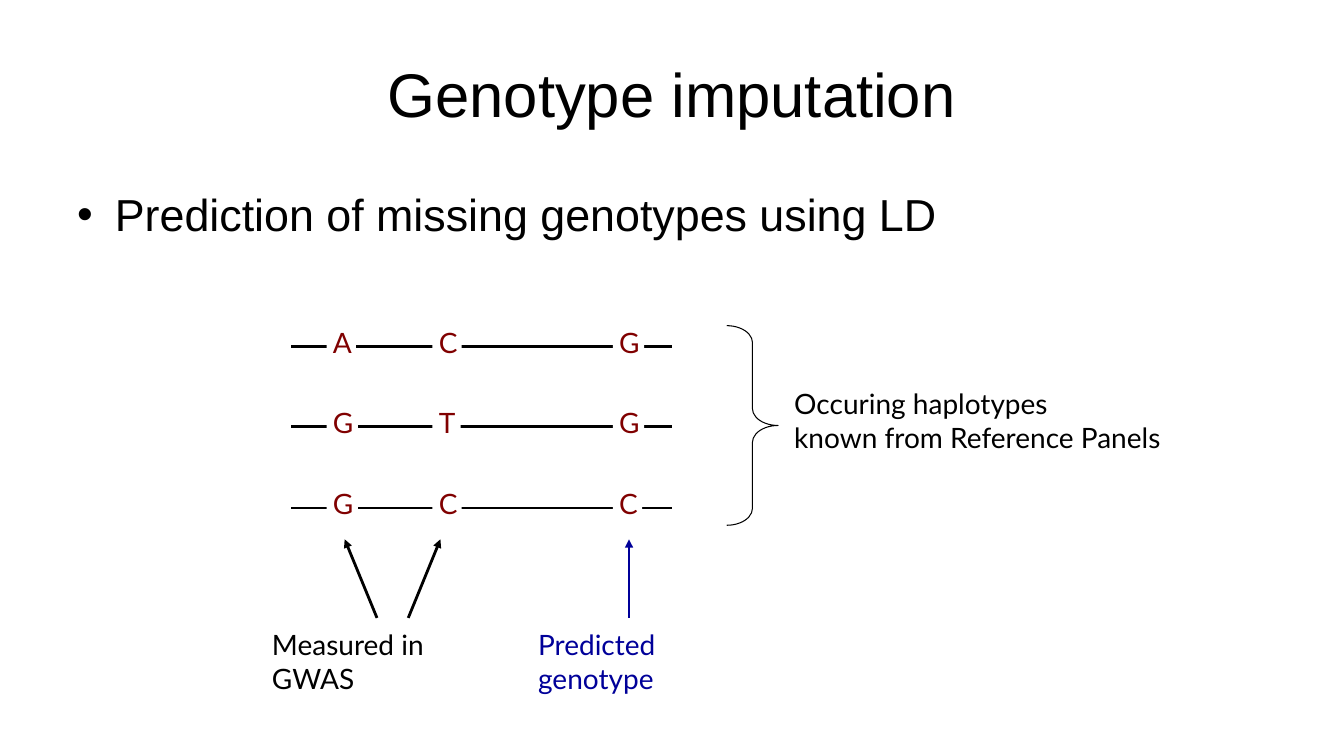
from lxml import etree
from pptx import Presentation
from pptx.dml.color import RGBColor
from pptx.enum.shapes import MSO_CONNECTOR, MSO_SHAPE
from pptx.enum.text import MSO_ANCHOR, MSO_AUTO_SIZE, PP_ALIGN
from pptx.oxml.ns import qn
from pptx.util import Pt

BLACK = RGBColor(0x00, 0x00, 0x00)
WHITE = RGBColor(0xFF, 0xFF, 0xFF)
RED = RGBColor(0x80, 0x00, 0x00)
BLUE = RGBColor(0x00, 0x00, 0x99)
STRAIGHT = MSO_CONNECTOR.STRAIGHT
RECT = MSO_SHAPE.RECTANGLE
BRACE = MSO_SHAPE.RIGHT_BRACE
TOP = MSO_ANCHOR.TOP
MIDDLE = MSO_ANCHOR.MIDDLE
LEFT = PP_ALIGN.LEFT
CENTER = PP_ALIGN.CENTER
GROW = MSO_AUTO_SIZE.SHAPE_TO_FIT_TEXT

ROWS = [(247.7, "ACG"), (304.6, "GTG"), (362.9, "GCC")]
COLS = [233.3, 308.9, 437.8]
WIDTHS = {"A": 20.9, "C": 20.9, "G": 22.3, "T": 20.2}


def write(frame, text, size, font, color, align=LEFT):
    """Fill a text frame and format its runs."""
    frame.text = text
    for para in frame.paragraphs:
        para.alignment = align
        for run in para.runs:
            run.font.size = Pt(size)
            run.font.name = font
            run.font.color.rgb = color


def label(slide, box, text, size=20, font="Lato", color=BLACK, align=LEFT, anchor=TOP):
    """Add a wrapped text box and return its frame."""
    frame = slide.shapes.add_textbox(*map(Pt, box)).text_frame
    frame.word_wrap = True
    frame.vertical_anchor = anchor
    write(frame, text, size, font, color, align)
    return frame


def bullet(para, indent):
    """Give a paragraph a round bullet with a hanging indent."""
    props = para._p.get_or_add_pPr()
    props.set("marL", str(Pt(indent)))
    props.set("indent", str(-Pt(indent)))
    etree.SubElement(props, qn("a:buFont")).set("typeface", "Arial")
    etree.SubElement(props, qn("a:buChar")).set("char", "•")


def line(slide, start, end, color=BLACK, arrow=False):
    """Draw a straight line, with an arrowhead at its end if asked."""
    link = slide.shapes.add_connector(STRAIGHT, *map(Pt, start + end))
    link.line.color.rgb = color
    link.line.width = Pt(2)
    if arrow:
        head = etree.SubElement(link.line._get_or_add_ln(), qn("a:tailEnd"))
        head.set("type", "triangle")
    etree.SubElement(link._element.spPr, qn("a:effectLst"))


def allele(slide, left, mid, letter):
    """Place a letter on a white tile over its haplotype line."""
    box = (left, mid - 18.7, WIDTHS[letter], 31.5)
    tile = slide.shapes.add_shape(RECT, *map(Pt, box))
    tile.shadow.inherit = False
    tile.fill.solid()
    tile.fill.fore_color.rgb = WHITE
    tile.line.fill.background()
    frame = tile.text_frame
    frame.margin_left = frame.margin_right = Pt(4.5)
    frame.margin_top = frame.margin_bottom = Pt(3.6)
    frame.word_wrap = False
    frame.auto_size = GROW
    frame.vertical_anchor = TOP
    write(frame, letter, 20, "Lato", RED)


def brace(slide, box):
    """Draw the brace that gathers the haplotypes."""
    shape = slide.shapes.add_shape(BRACE, *map(Pt, box))
    shape.shadow.inherit = False
    shape.adjustments[0] = 0.33
    shape.fill.background()
    shape.line.color.rgb = BLACK
    shape.line.width = Pt(0.75)


def main():
    """Build the slide and save it."""
    deck = Presentation()
    deck.slide_width, deck.slide_height = Pt(960), Pt(540)
    slide = deck.slides.add_slide(deck.slide_layouts[6])

    label(slide, (48, 21.6, 864, 90), "Genotype imputation", 44, "Arial",
          align=CENTER, anchor=MIDDLE)
    body = label(slide, (48, 130, 864, 50),
                 "Prediction of missing genotypes using LD", 32, "Arial")
    bullet(body.paragraphs[0], 27)

    for mid, letters in ROWS:
        line(slide, (208, mid), (480, mid))
        for left, letter in zip(COLS, letters):
            allele(slide, left, mid, letter)

    line(slide, (269.3, 441.4), (246.2, 385.2), arrow=True)
    line(slide, (291.6, 441.4), (314.6, 385.2), arrow=True)
    line(slide, (449.3, 441.4), (449.3, 385.2), BLUE, True)
    label(slide, (187.2, 445, 133, 55), "Measured in GWAS")
    label(slide, (377.3, 445, 133, 55), "Predicted genotype", color=BLUE)

    brace(slide, (519.1, 232.6, 36.7, 142.6))
    label(slide, (560.2, 272.9, 300, 55.4),
          "Occuring haplotypes\nknown from Reference Panels")
    deck.save("out.pptx")


if __name__ == "__main__":
    main()
